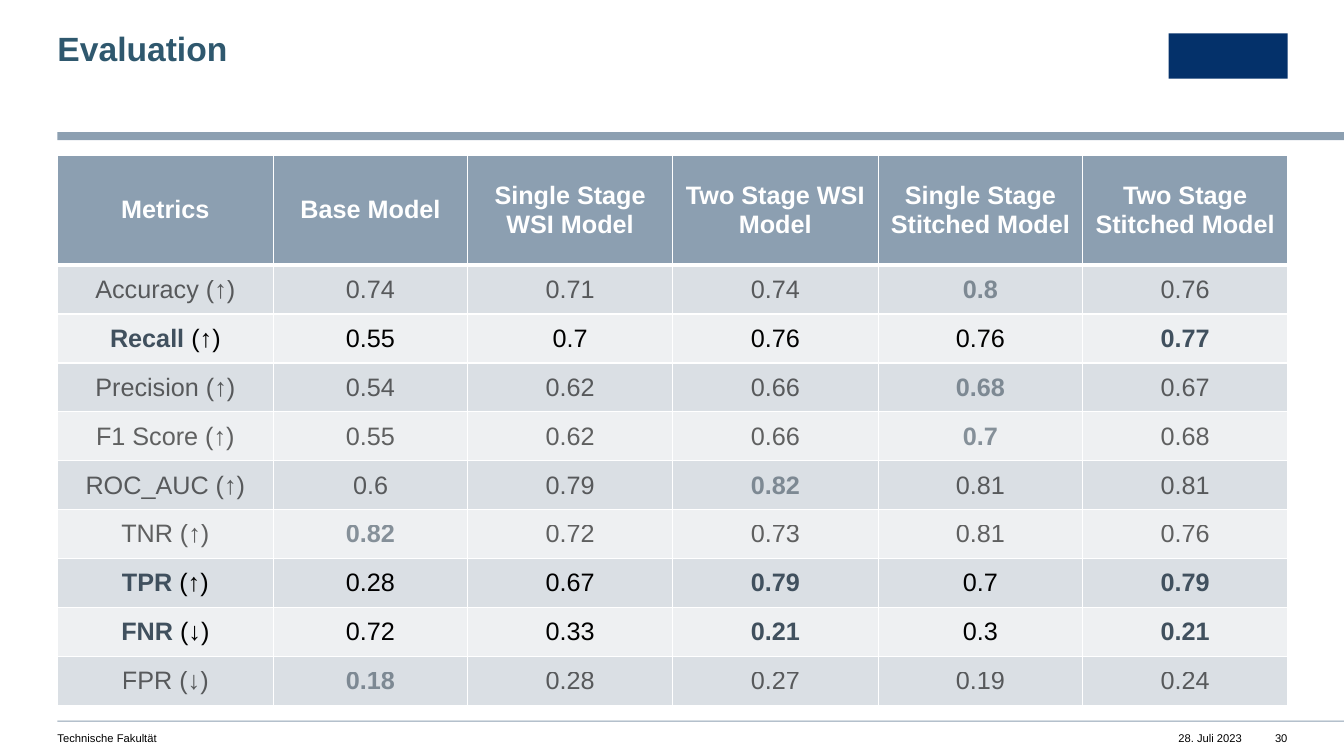
from lxml import etree
from pptx import Presentation
from pptx.dml.color import RGBColor
from pptx.enum.shapes import MSO_SHAPE
from pptx.enum.text import MSO_ANCHOR, PP_ALIGN
from pptx.oxml.ns import qn
from pptx.util import Inches, Pt

RECTANGLE = MSO_SHAPE.RECTANGLE
MIDDLE = MSO_ANCHOR.MIDDLE
LEFT, CENTER, RIGHT = PP_ALIGN.LEFT, PP_ALIGN.CENTER, PP_ALIGN.RIGHT

COLORS = {
    "bar": "8C9FB1", "title": "2F586E", "emblem": "04316A",
    "odd": "DADFE4", "even": "EEF0F2", "best": "40505E",
    "black": "000000", "white": "FFFFFF",
}
FONT = "Arial"
MARGIN = 0.57
TABLE_HEIGHT, HEADER_HEIGHT = 5.46, 1.09
COLUMN_WIDTHS = [2.14, 1.93, 2.03, 2.04, 2.03, 2.03]
HEADERS = [
    "Metrics", "Base Model", "Single Stage WSI Model", "Two Stage WSI Model",
    "Single Stage Stitched Model", "Two Stage Stitched Model",
]
SCORES = [
    ("Accuracy", "↑", [0.74, 0.71, 0.74, 0.8, 0.76]),
    ("Recall", "↑", [0.55, 0.7, 0.76, 0.76, 0.77]),
    ("Precision", "↑", [0.54, 0.62, 0.66, 0.68, 0.67]),
    ("F1 Score", "↑", [0.55, 0.62, 0.66, 0.7, 0.68]),
    ("ROC_AUC", "↑", [0.6, 0.79, 0.82, 0.81, 0.81]),
    ("TNR", "↑", [0.82, 0.72, 0.73, 0.81, 0.76]),
    ("TPR", "↑", [0.28, 0.67, 0.79, 0.7, 0.79]),
    ("FNR", "↓", [0.72, 0.33, 0.21, 0.3, 0.21]),
    ("FPR", "↓", [0.18, 0.28, 0.27, 0.19, 0.24]),
]
KEY_METRICS = {"Recall", "TPR", "FNR"}


def rgb(color):
    """Return the named colour."""
    return RGBColor.from_string(COLORS[color])


def style_span(span, size, color, bold=False, faded=False):
    """Format one run, at 60 % opacity when faded."""
    span.font.name = FONT
    span.font.size = Pt(size)
    span.font.bold = bold
    span.font.color.rgb = rgb(color)
    if faded:
        tint = span.font.fill._xPr.find(qn("a:solidFill"))[0]
        etree.SubElement(tint, qn("a:alpha"), val="60000")


def add_bar(page, left, top, width, height, color):
    """Add a plain filled rectangle."""
    bar = page.shapes.add_shape(
        RECTANGLE, Inches(left), Inches(top), Inches(width), Inches(height))
    bar.shadow.inherit = False
    bar.fill.solid()
    bar.fill.fore_color.rgb = rgb(color)
    bar.line.fill.background()


def add_label(page, text, left, top, width, height, size, color="black",
              align=LEFT, bold=False, wrap=True):
    """Add a one-line text box without insets."""
    box = page.shapes.add_textbox(
        Inches(left), Inches(top), Inches(width), Inches(height))
    frame = box.text_frame
    frame.margin_left = frame.margin_right = 0
    frame.margin_top = frame.margin_bottom = 0
    frame.word_wrap = wrap
    frame.text = text
    para = frame.paragraphs[0]
    para.alignment = align
    style_span(para.runs[0], size, color, bold)
    return para


def set_borders(cell, top=1, bottom=1):
    """Draw white borders of the given widths around a cell."""
    properties = cell._tc.get_or_add_tcPr()
    widths = {"a:lnL": 1, "a:lnR": 1, "a:lnT": top, "a:lnB": bottom}
    for index, (tag, width) in enumerate(widths.items()):
        border = etree.Element(qn(tag), w=str(Pt(width)))
        fill = etree.SubElement(border, qn("a:solidFill"))
        etree.SubElement(fill, qn("a:srgbClr"), val=COLORS["white"])
        properties.insert(index, border)


def fill_cell(cell, fill, spans, top=1, bottom=1):
    """Fill a cell with centred (text, color, bold, faded) spans."""
    cell.fill.solid()
    cell.fill.fore_color.rgb = rgb(fill)
    cell.vertical_anchor = MIDDLE
    para = cell.text_frame.paragraphs[0]
    para.alignment = CENTER
    for text, color, bold, faded in spans:
        span = para.add_run()
        span.text = text
        style_span(span, 18, color, bold, faded)
    set_borders(cell, top, bottom)


def metric_rows():
    """Yield the spans of each score row, with its best values in bold."""
    for name, arrow, values in SCORES:
        best = max(values) if arrow == "↑" else min(values)
        if name in KEY_METRICS:
            faded = False
            label = [(name, "best", True, False),
                     (f" ({arrow})", "black", False, False)]
        else:
            faded = True
            label = [(f"{name} ({arrow})", "black", False, True)]
        yield [label] + [
            [(f"{value:g}", "best" if value == best else "black",
              value == best, faded)]
            for value in values]


def add_score_table(page):
    """Add the table comparing the models."""
    table = page.shapes.add_table(
        len(SCORES) + 1, len(HEADERS), Inches(MARGIN), Inches(1.54),
        Inches(sum(COLUMN_WIDTHS)), Inches(TABLE_HEIGHT)).table
    for column, width in zip(table.columns, COLUMN_WIDTHS):
        column.width = Inches(width)
    row_height = (TABLE_HEIGHT - HEADER_HEIGHT) / len(SCORES)
    for index, row in enumerate(table.rows):
        row.height = Inches(row_height if index else HEADER_HEIGHT)
    for column, header in enumerate(HEADERS):
        fill_cell(table.cell(0, column), "bar",
                  [(header, "white", True, False)], bottom=3)
    for row, cells in enumerate(metric_rows(), start=1):
        for column, spans in enumerate(cells):
            fill_cell(table.cell(row, column), "odd" if row % 2 else "even",
                      spans, top=3 if row == 1 else 1)


def main():
    """Build the evaluation slide."""
    deck = Presentation()
    deck.slide_width, deck.slide_height = Inches(13.33), Inches(7.5)
    page = deck.slides.add_slide(deck.slide_layouts[6])
    add_bar(page, MARGIN, 1.31, 12.76, 0.08, "bar")
    add_bar(page, MARGIN, 7.15, 12.76, 0.01, "bar")
    add_bar(page, 11.59, 0.33, 1.18, 0.45, "emblem")
    add_label(page, "28. Juli 2023", 11.39, 7.26, 0.93, 0.13, 8,
              align=RIGHT, wrap=False)
    add_label(page, "Technische Fakultät", MARGIN, 7.26, 5.98, 0.13, 8)
    add_label(page, "30", 12.56, 7.26, 0.21, 0.13, 8, align=RIGHT, wrap=False)
    title = add_label(page, "Evaluation", MARGIN, 0.32, 7.49, 0.36, 24,
                      "title", bold=True)
    title.line_spacing = 0.9
    add_score_table(page)
    deck.save("out.pptx")


if __name__ == "__main__":
    main()
